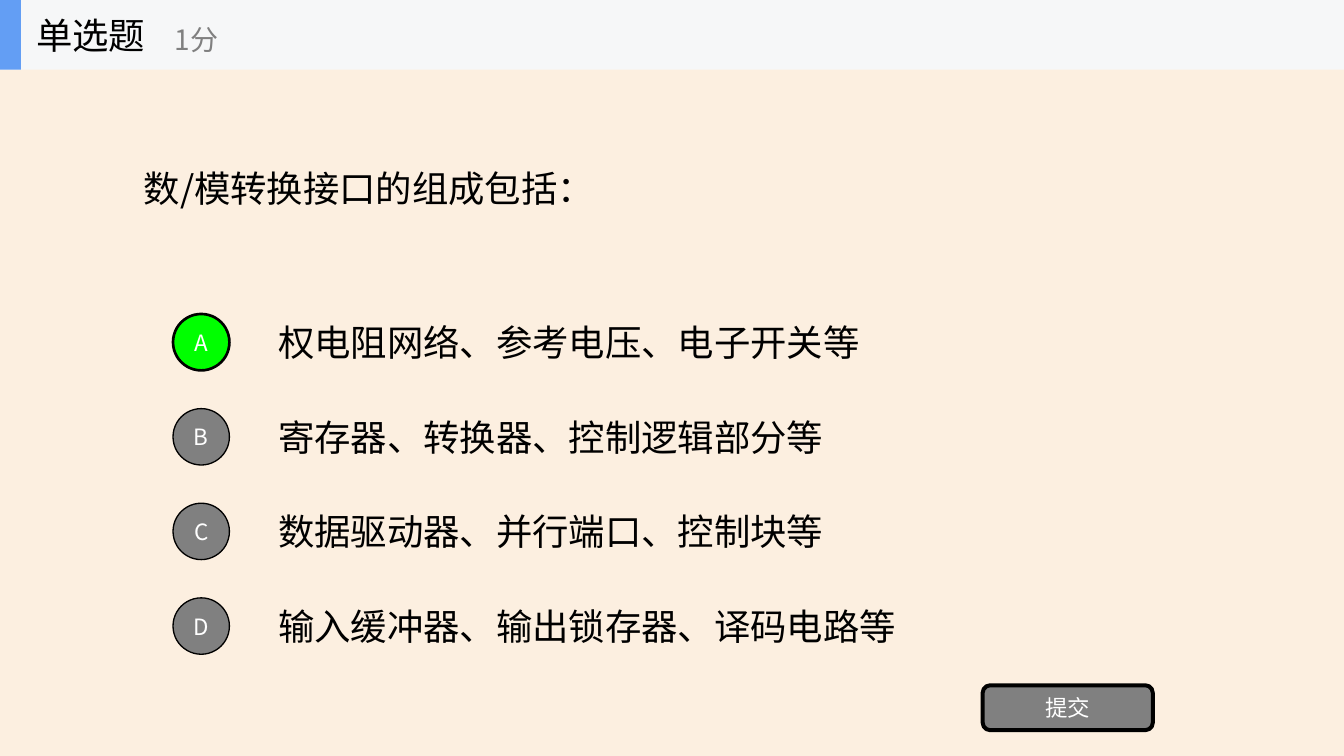
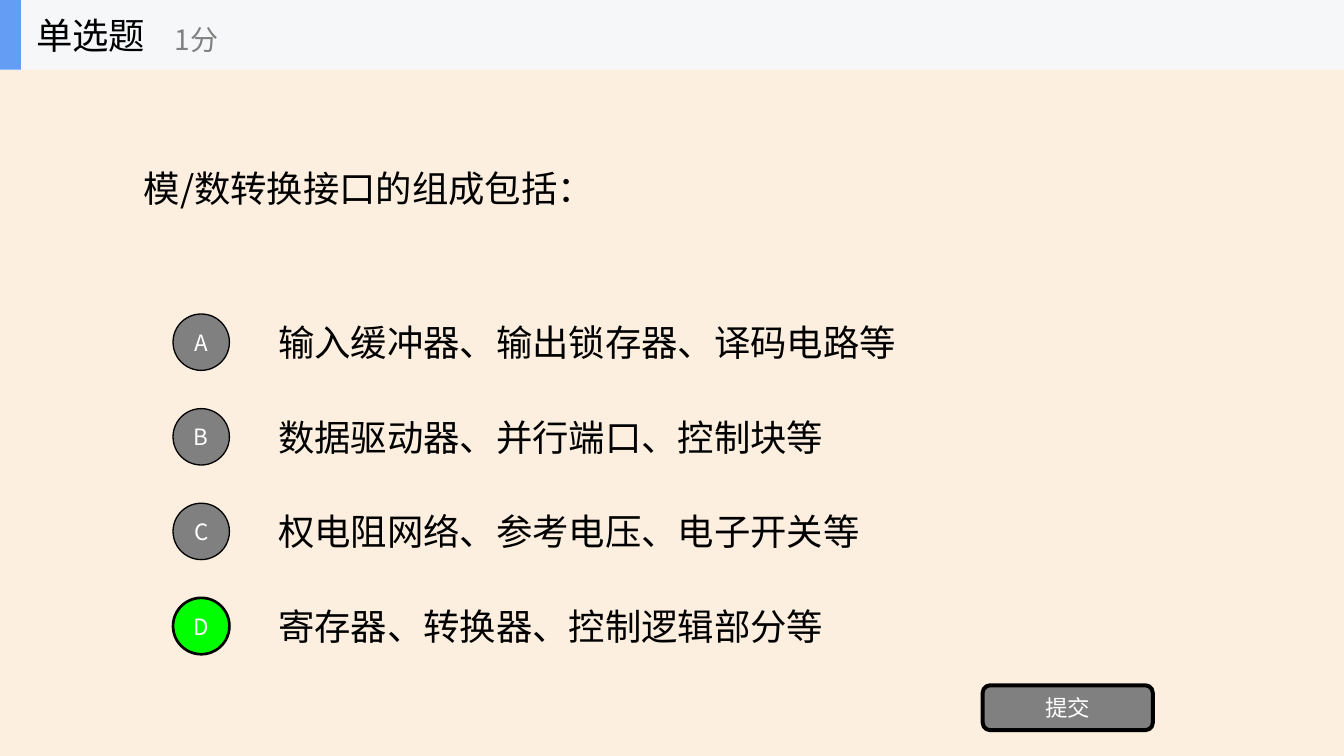
from lxml import etree
from pptx import Presentation
from pptx import util as u
from pptx.dml.color import RGBColor
from pptx.enum import shapes, text
from pptx.oxml.ns import qn

QUESTIONS = [
    {
        "stem": "数/模转换接口的组成包括：",
        "answer": "A",
        "options": [
            "权电阻网络、参考电压、电子开关等",
            "寄存器、转换器、控制逻辑部分等",
            "数据驱动器、并行端口、控制块等",
            "输入缓冲器、输出锁存器、译码电路等",
        ],
    },
    {
        "stem": "模/数转换接口的组成包括：",
        "answer": "D",
        "options": [
            "输入缓冲器、输出锁存器、译码电路等",
            "数据驱动器、并行端口、控制块等",
            "权电阻网络、参考电压、电子开关等",
            "寄存器、转换器、控制逻辑部分等",
        ],
    },
]
KIND, SCORE, SUBMIT = "单选题", "1分", "提交"

FONT = "Noto Sans CJK SC"
BODY, SCORE_SIZE, LABEL = 27.4, 21.1, 16.9
PAPER, BAND, ACCENT = "FCEFE0", "F6F7F8", "639EF4"
INK, GREY, RIGHT, WHITE = "000000", "808080", "00FF00", "FFFFFF"

WIDTH, HEIGHT = 14.06, 7.91
BAND_HEIGHT = 0.73
STEM_LEFT, OPTION_LEFT, TEXT_RIGHT = WIDTH * 0.1, WIDTH * 0.2, WIDTH * 0.9
FIRST_OPTION, OPTION_PITCH, OPTION_HEIGHT = 3.21, 0.99, 0.74
BADGE_LEFT, BADGE = 1.81, 0.59


def rgb(code):
    return RGBColor.from_string(code)


def inches(*lengths):
    return [u.Inches(length) for length in lengths]


def write(shape, words, size=BODY, color=INK, align=text.PP_ALIGN.LEFT, inset=None):
    frame = shape.text_frame
    frame.word_wrap = True
    frame.vertical_anchor = text.MSO_ANCHOR.MIDDLE
    if inset is not None:
        frame.margin_left = frame.margin_right = u.Inches(inset)
        frame.margin_top = frame.margin_bottom = u.Inches(inset)
    paragraph = frame.paragraphs[0]
    paragraph.alignment = align
    run = paragraph.add_run()
    run.text = words
    run.font.size, run.font.name = u.Pt(size), FONT
    run.font.color.rgb = rgb(color)
    east_asian = etree.SubElement(run.font._element, qn("a:ea"))
    east_asian.set("typeface", FONT)


def add_text(parent, box, words, **style):
    write(parent.add_textbox(*inches(*box)), words, **style)


def add_block(parent, preset, box, fill, line=0, label=None):
    block = parent.add_shape(preset, *inches(*box))
    block.shadow.inherit = False
    block.fill.solid()
    block.fill.fore_color.rgb = rgb(fill)
    if line:
        block.line.color.rgb = rgb(INK)
        block.line.width = u.Pt(line)
    else:
        block.line.fill.background()
    if label:
        write(block, label, size=LABEL, color=WHITE,
              align=text.PP_ALIGN.CENTER, inset=0)


def add_header(slide):
    header = slide.shapes.add_group_shape().shapes
    for width, fill in ((WIDTH, BAND), (0.22, ACCENT)):
        add_block(header, shapes.MSO_SHAPE.RECTANGLE, (0, 0, width, BAND_HEIGHT), fill)
    add_text(header, (0.28, 0, 2.2, BAND_HEIGHT), KIND)
    add_text(header, (1.73, 0.12, 2.64, 0.59), SCORE, size=SCORE_SIZE, color=GREY)


def add_question(prs, question):
    slide = prs.slides.add_slide(prs.slide_layouts[6])
    parts = slide.shapes
    add_text(parts, (STEM_LEFT, BAND_HEIGHT, TEXT_RIGHT - STEM_LEFT, 2.47),
             question["stem"])
    for row, (letter, option) in enumerate(zip("ABCD", question["options"])):
        top = FIRST_OPTION + row * OPTION_PITCH
        add_text(parts, (OPTION_LEFT, top, TEXT_RIGHT - OPTION_LEFT, OPTION_HEIGHT),
                 option)
        fill, line = (RIGHT, 2) if letter == question["answer"] else (GREY, 1)
        badge_top = top + (OPTION_HEIGHT - BADGE) / 2
        add_block(parts, shapes.MSO_SHAPE.OVAL,
                  (BADGE_LEFT, badge_top, BADGE, BADGE), fill, line, letter)
    add_block(parts, shapes.MSO_SHAPE.ROUNDED_RECTANGLE,
              (10.28, 7.17, 1.78, 0.47), GREY, 3, SUBMIT)
    add_header(slide)


def main():
    prs = Presentation()
    prs.slide_width, prs.slide_height = inches(WIDTH, HEIGHT)
    paper = prs.slide_master.background.fill
    paper.solid()
    paper.fore_color.rgb = rgb(PAPER)
    for question in QUESTIONS:
        add_question(prs, question)
    prs.save("out.pptx")


if __name__ == "__main__":
    main()
